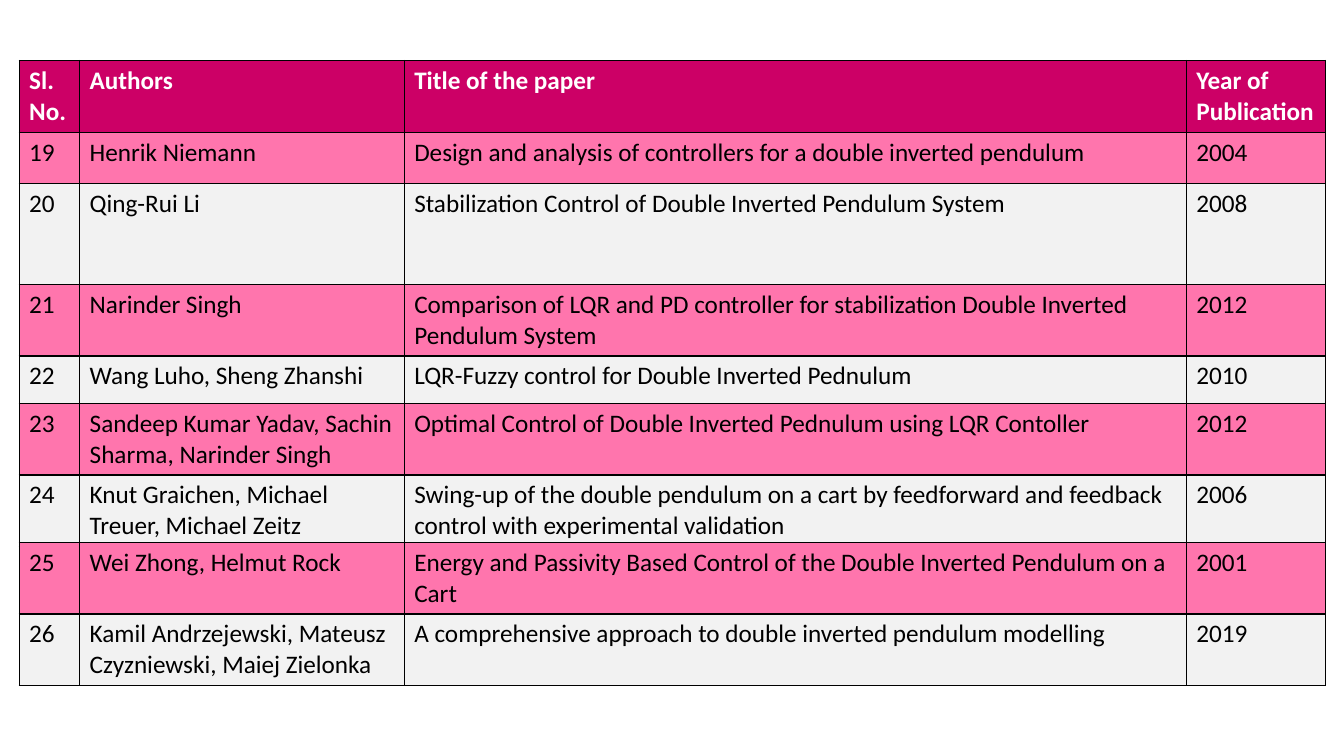
"""Build a literature survey slide made of two stacked tables."""
from lxml import etree
from pptx import Presentation
from pptx.dml.color import RGBColor
from pptx.oxml.ns import qn
from pptx.util import Pt

HEADER_FILL, PINK, GREY = "CC0066", "FF75AD", "F2F2F2"
BLACK, WHITE = "000000", "FFFFFF"
LEFT = 13.68
COLUMN_WIDTHS = [43.2, 231.84, 558.72, 99.36]

HEADER = ("Sl. No.", "Authors", "Title of the paper", "Year of Publication")
PAPERS = [
    ("19", "Henrik Niemann",
     "Design and analysis of controllers for a double inverted pendulum", "2004"),
    ("20", "Qing-Rui Li",
     "Stabilization Control of Double Inverted Pendulum System", "2008"),
    ("21", "Narinder Singh",
     "Comparison of LQR and PD controller for stabilization Double Inverted Pendulum System",
     "2012"),
    ("22", "Wang Luho, Sheng Zhanshi",
     "LQR-Fuzzy control for Double Inverted Pednulum", "2010"),
    ("23", "Sandeep Kumar Yadav, Sachin Sharma, Narinder Singh",
     "Optimal Control of Double Inverted Pednulum using LQR Contoller", "2012"),
    ("24", "Knut Graichen, Michael Treuer, Michael Zeitz",
     "Swing-up of the double pendulum on a cart by feedforward and feedback\n"
     "control with experimental validation", "2006"),
]
LATER_PAPERS = [
    ("25", "Wei Zhong, Helmut Rock",
     "Energy and Passivity Based Control of the Double Inverted Pendulum on a Cart",
     "2001"),
    ("26", "Kamil Andrzejewski, Mateusz Czyzniewski, Maiej Zielonka",
     "A comprehensive approach to double inverted pendulum modelling", "2019"),
]
TABLES = [
    (43.2, [HEADER] + PAPERS, [50.4, 36.72, 72, 50.4, 33.84, 50.4, 50.4]),
    (387.36, LATER_PAPERS, [50.4, 50.4]),
]


def color(value):
    return RGBColor.from_string(value)


def add_borders(cell):
    properties = cell._tc.get_or_add_tcPr()
    for side in ("a:lnL", "a:lnR", "a:lnT", "a:lnB"):
        line = etree.SubElement(properties, qn(side), w=str(Pt(1)))
        fill = etree.SubElement(line, qn("a:solidFill"))
        etree.SubElement(fill, qn("a:srgbClr"), val=BLACK)


deck = Presentation()
deck.slide_width, deck.slide_height = Pt(960), Pt(540)
page = deck.slides.add_slide(deck.slide_layouts[6])

for top, rows, heights in TABLES:
    table = page.shapes.add_table(
        len(rows), len(COLUMN_WIDTHS), Pt(LEFT), Pt(top),
        Pt(sum(COLUMN_WIDTHS)), Pt(sum(heights))).table
    table.first_row = rows[0] is HEADER
    table.horz_banding = False
    for column, width in zip(table.columns, COLUMN_WIDTHS):
        column.width = Pt(width)
    first_paper = 1 if table.first_row else 0
    for index, (texts, height) in enumerate(zip(rows, heights)):
        table.rows[index].height = Pt(height)
        is_header = texts is HEADER
        band = GREY if (index - first_paper) % 2 else PINK
        for cell, text in zip(table.rows[index].cells, texts):
            add_borders(cell)
            cell.fill.solid()
            cell.fill.fore_color.rgb = color(HEADER_FILL if is_header else band)
            cell.text = text
            for para in cell.text_frame.paragraphs:
                para.font.name = "Calibri"
                para.font.size = Pt(18)
                para.font.bold = is_header
                para.font.color.rgb = color(WHITE if is_header else BLACK)

deck.save("out.pptx")
